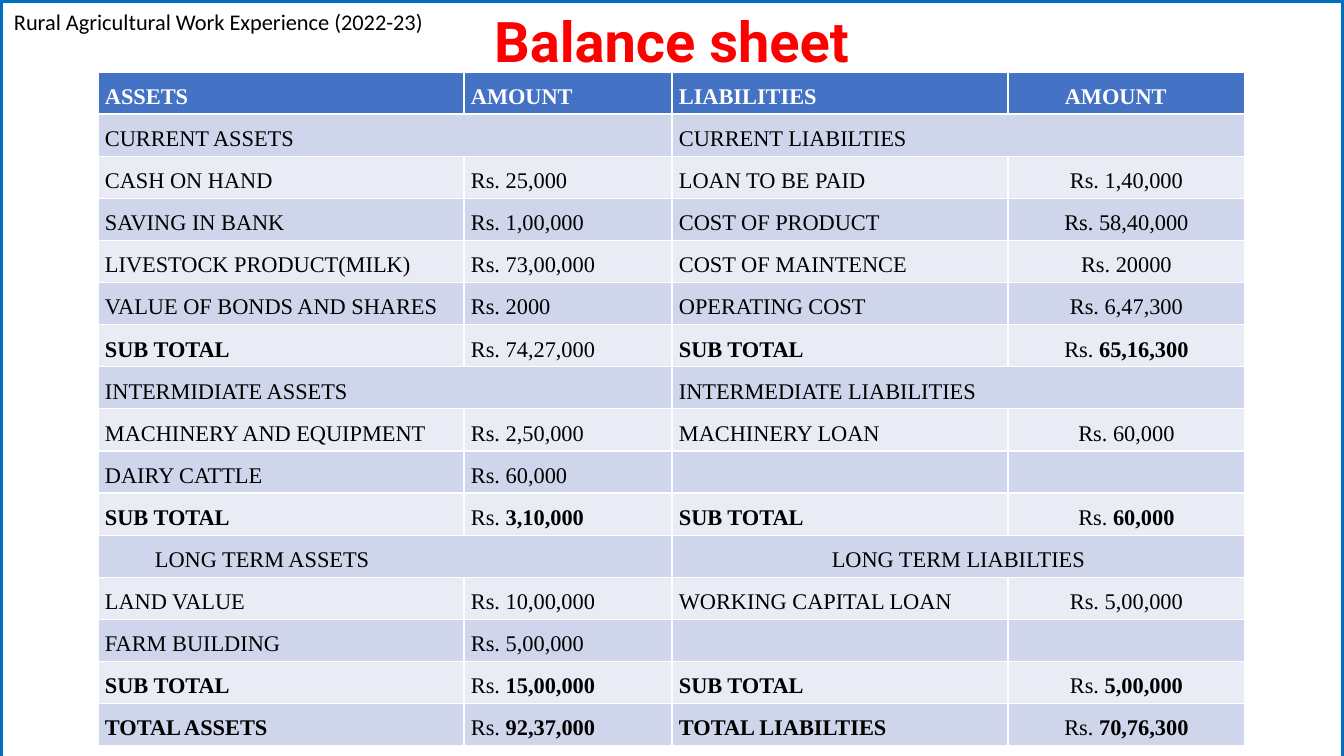
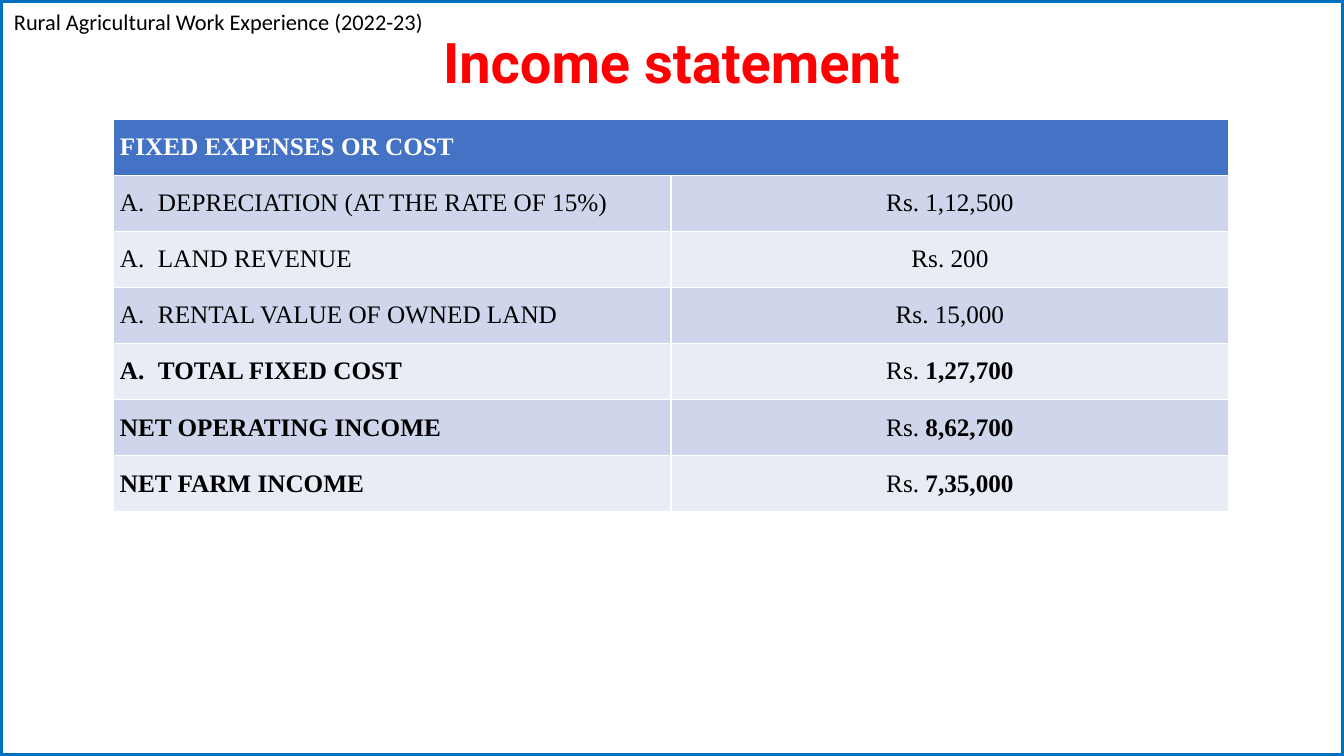
from dataclasses import dataclass

from lxml import etree
from pptx import Presentation
from pptx.dml.color import RGBColor
from pptx.enum import shapes, text
from pptx.oxml import ns
from pptx.util import Pt

PX = 12192000 / 1344
LEFT, CENTER, JUSTIFY = text.PP_ALIGN.LEFT, text.PP_ALIGN.CENTER, text.PP_ALIGN.JUSTIFY


@dataclass(frozen=True)
class Theme:
    frame: RGBColor = RGBColor(0x00, 0x70, 0xC0)
    title: RGBColor = RGBColor(0xFF, 0x00, 0x00)
    ink: RGBColor = RGBColor(0x00, 0x00, 0x00)
    header_ink: RGBColor = RGBColor(0xFF, 0xFF, 0xFF)
    header: RGBColor = RGBColor(0x44, 0x72, 0xC4)
    bands: tuple = (RGBColor(0xE9, 0xEB, 0xF5), RGBColor(0xCF, 0xD5, 0xEA))
    title_font: str = "Roboto"
    label_font: str = "Calibri"
    table_font: str = "Times New Roman"
    title_size: int = 40
    label_size: int = 16


THEME = Theme()


def px(*lengths):
    return [round(length * PX) for length in lengths]


def style_run(run, font, size, color, bold=False):
    run.font.name, run.font.size, run.font.bold = font, Pt(size), bold
    run.font.color.rgb = color


# In a row, None continues the cell to its left; text after ** is bold.
balance_rows = [
    ("**ASSETS", "**AMOUNT", "**LIABILITIES", "**AMOUNT"),
    ("CURRENT ASSETS", None, "CURRENT LIABILTIES", None),
    ("CASH ON HAND", "Rs. 25,000", "LOAN TO BE PAID", "Rs. 1,40,000"),
    ("SAVING IN BANK", "Rs. 1,00,000", "COST OF PRODUCT", "Rs. 58,40,000"),
    ("LIVESTOCK PRODUCT(MILK)", "Rs. 73,00,000", "COST OF MAINTENCE", "Rs. 20000"),
    ("VALUE OF BONDS AND SHARES", "Rs. 2000", "OPERATING COST", "Rs. 6,47,300"),
    ("**SUB TOTAL", "Rs. 74,27,000", "**SUB TOTAL", "Rs. **65,16,300"),
    ("INTERMIDIATE ASSETS", None, "INTERMEDIATE LIABILITIES", None),
    ("MACHINERY AND EQUIPMENT", "Rs. 2,50,000", "MACHINERY LOAN", "Rs. 60,000"),
    ("DAIRY CATTLE", "Rs. 60,000", "", ""),
    ("**SUB TOTAL", "Rs. **3,10,000", "**SUB TOTAL", "Rs. **60,000"),
    ("LONG TERM ASSETS", None, "LONG TERM LIABILTIES", None),
    ("LAND VALUE", "Rs. 10,00,000", "WORKING CAPITAL LOAN", "Rs. 5,00,000"),
    ("FARM BUILDING", "Rs. 5,00,000", "", ""),
    ("**SUB TOTAL", "Rs. **15,00,000", "**SUB TOTAL", "Rs. **5,00,000"),
    ("**TOTAL ASSETS", "Rs. **92,37,000", "**TOTAL LIABILTIES", "Rs. **70,76,300"),
]
income_rows = [
    ("**FIXED EXPENSES OR COST", None),
    ("DEPRECIATION (AT THE RATE OF 15%)", "Rs. 1,12,500"),
    ("LAND REVENUE", "Rs. 200"),
    ("RENTAL VALUE OF OWNED LAND", "Rs. 15,000"),
    ("**TOTAL FIXED COST", "Rs. **1,27,700"),
    ("**NET OPERATING INCOME", "Rs. **8,62,700"),
    ("**NET FARM INCOME", "Rs. **7,35,000"),
]
# title, title top, frame height, rows, table left/top/height, columns, alignments, type size
statements = [
    ("Balance sheet", 1, 759, balance_rows, (98, 72, 674),
     (366, 208, 336, 237), (LEFT, LEFT, LEFT, CENTER), 16),
    ("Income statement", 22, 756, income_rows, (113, 119, 393),
     (558, 558), (JUSTIFY, CENTER), 18),
]

prs = Presentation()
prs.slide_width, prs.slide_height = px(1344, 756)
title_only = prs.slide_layouts[5]
tables = []

for heading, title_top, frame_height, rows, place, columns, aligns, size in statements:
    slide = prs.slides.add_slide(title_only)

    frame = slide.shapes.add_shape(shapes.MSO_SHAPE.RECTANGLE, *px(0, 0, 1344, frame_height))
    frame.shadow.inherit = False
    frame.fill.background()
    frame.line.color.rgb = THEME.frame
    frame.line.width = Pt(4.5)

    course = slide.shapes.add_textbox(*px(4, 3, 430, 37)).text_frame
    course.word_wrap = False
    course.text = "Rural Agricultural Work Experience (2022-23)"
    style_run(course.paragraphs[0].runs[0], THEME.label_font, THEME.label_size, THEME.ink)

    title = slide.shapes.title
    title.left, title.top, title.width, title.height = px(24, title_top, 1295, 78)
    title.text_frame.auto_size = text.MSO_AUTO_SIZE.NONE
    title.text_frame.vertical_anchor = text.MSO_ANCHOR.TOP
    title.text_frame.text = heading
    title.text_frame.paragraphs[0].alignment = CENTER
    style_run(title.text_frame.paragraphs[0].runs[0], THEME.title_font, THEME.title_size,
              THEME.title, True)

    left, top, height = place
    table = slide.shapes.add_table(len(rows), len(columns),
                                   *px(left, top, sum(columns), height)).table
    tables.append(table)
    for column, width in zip(table.columns, px(*columns)):
        column.width = width
    for r, row in enumerate(rows):
        for c, content in enumerate(row):
            cell = table.cell(r, c)
            cell.margin_left, cell.margin_right, cell.margin_top, cell.margin_bottom = px(7, 7, 0, 0)
            cell.fill.solid()
            cell.fill.fore_color.rgb = THEME.bands[r % 2] if r else THEME.header
            if content is None:
                table.cell(r, c - 1).merge(cell)
                continue
            paragraph = cell.text_frame.paragraphs[0]
            paragraph.line_spacing = 1.5
            # A section heading spans its columns and starts at the left.
            paragraph.alignment = aligns[c]
            for part, words in enumerate(content.split("**")):
                if words:
                    run = paragraph.add_run()
                    run.text = words
                    style_run(run, THEME.table_font, size,
                              THEME.ink if r else THEME.header_ink, part == 1)

balance, income = tables

long_term_liabilities = balance.cell(11, 2).text_frame.paragraphs[0]
long_term_liabilities.alignment = CENTER
for r, c in ((0, 3), (11, 0)):
    indented = balance.cell(r, c).text_frame.paragraphs[0]
    indented.alignment = LEFT
    indented._p.get_or_add_pPr().set("indent", str(px(50)[0]))

hanging = px(38)[0]
for r in range(1, 5):
    properties = income.cell(r, 0).text_frame.paragraphs[0]._p.get_or_add_pPr()
    properties.set("marL", str(hanging))
    properties.set("indent", str(-hanging))
    etree.SubElement(properties, ns.qn("a:buAutoNum"), type="alphaUcPeriod")

prs.save("out.pptx")
